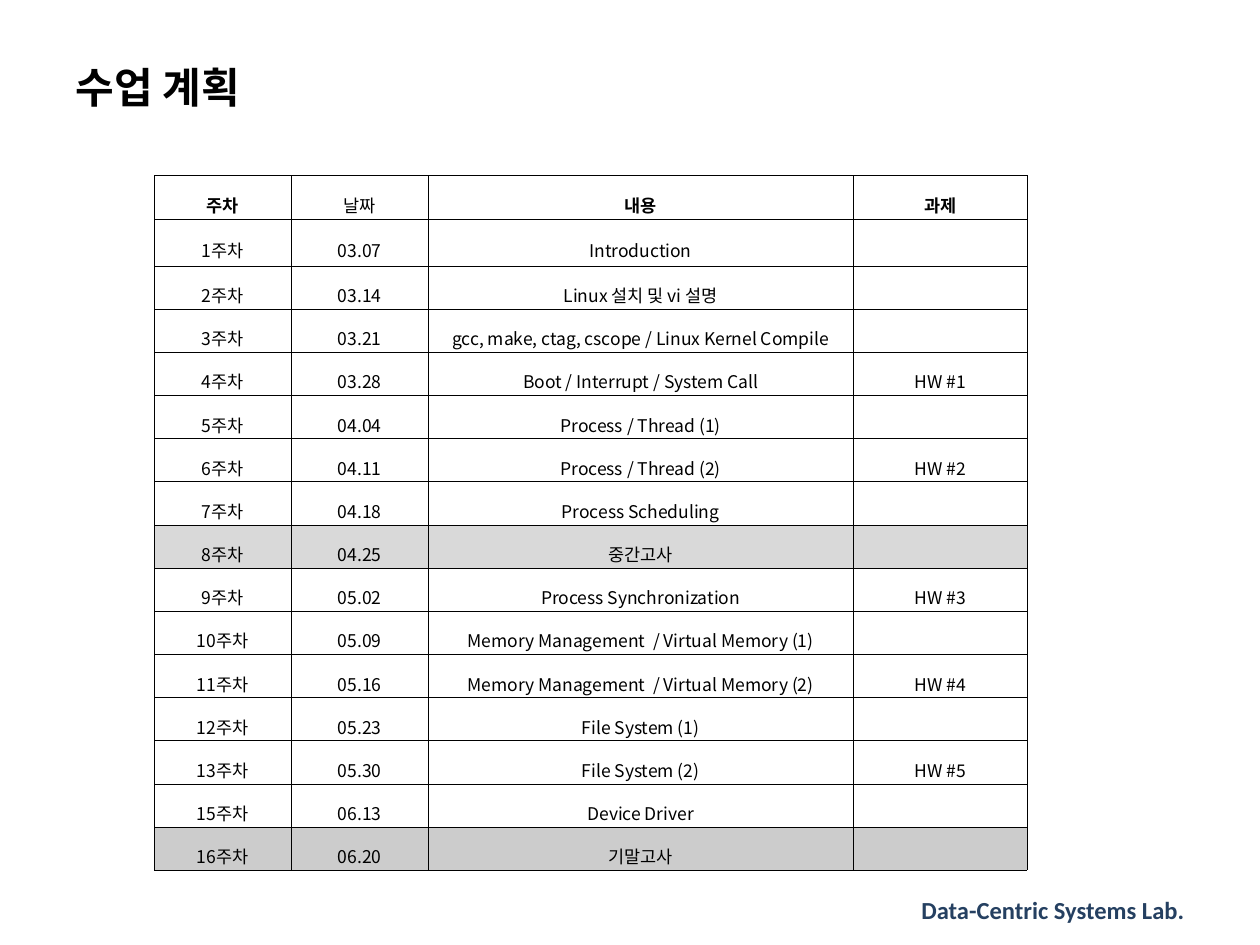
from lxml import etree
from pptx import Presentation
from pptx import util as u
from pptx.dml import color
from pptx.enum import text
from pptx.oxml import ns

WEEKS = [
    ("주차", "날짜", "내용", "과제"),
    ("1주차", "03.07", "Introduction", ""),
    ("2주차", "03.14", "Linux 설치 및 vi 설명", ""),
    ("3주차", "03.21", "gcc, make, ctag, cscope / Linux Kernel Compile", ""),
    ("4주차", "03.28", "Boot / Interrupt / System Call", "HW #1"),
    ("5주차", "04.04", "Process / Thread (1)", ""),
    ("6주차", "04.11", "Process / Thread (2)", "HW #2"),
    ("7주차", "04.18", "Process Scheduling", ""),
    ("8주차", "04.25", "중간고사", ""),
    ("9주차", "05.02", "Process Synchronization", "HW #3"),
    ("10주차", "05.09", "Memory Management  / Virtual Memory (1)", ""),
    ("11주차", "05.16", "Memory Management  / Virtual Memory (2)", "HW #4"),
    ("12주차", "05.23", "File System (1)", ""),
    ("13주차", "05.30", "File System (2)", "HW #5"),
    ("15주차", "06.13", "Device Driver", ""),
    ("16주차", "06.20", "기말고사", ""),
]
COLUMN_WIDTHS = [2.76, 2.76, 8.57, 3.51]
ROW_HEIGHT, FIRST_WEEK_HEIGHT = 0.87, 0.95
ROW_FILLS = {7: "FFFFFF", 8: "D9D9D9", 14: "FFFFFF", 15: "CCCCCC"}


def rgb(value):
    return color.RGBColor.from_string(value)


class Deck:
    latin_font = "Calibri"
    table_font = "Noto Sans CJK KR"
    ink = "000000"
    navy = "254061"

    def __init__(self):
        self.prs = Presentation()
        self.prs.slide_width, self.prs.slide_height = u.Cm(25.4), u.Cm(19.05)
        self.slide = self.prs.slides.add_slide(self.prs.slide_layouts[5])

    def style(self, paragraph, size, font, ink, bold, align):
        paragraph.alignment = align
        for run in paragraph.runs:
            run.font.size = u.Pt(size)
            run.font.name = font
            run.font.bold = bold
            run.font.color.rgb = rgb(ink)
            east_asian = etree.SubElement(run.font._element, ns.qn("a:ea"))
            east_asian.set("typeface", font)

    def title(self, wording, left, top, width, height):
        heading = self.slide.shapes.title
        heading.left, heading.top = u.Cm(left), u.Cm(top)
        heading.width, heading.height = u.Cm(width), u.Cm(height)
        frame = heading.text_frame
        frame.text = wording
        frame.vertical_anchor = text.MSO_ANCHOR.MIDDLE
        self.style(frame.paragraphs[0], 24, self.latin_font, self.ink, True,
                   text.PP_ALIGN.LEFT)

    def lab_name(self, wording, left, top, width, height):
        box = self.slide.shapes.add_textbox(
            u.Cm(left), u.Cm(top), u.Cm(width), u.Cm(height))
        frame = box.text_frame
        frame.word_wrap = True
        frame.text = wording
        frame.vertical_anchor = text.MSO_ANCHOR.BOTTOM
        self.style(frame.paragraphs[0], 14, self.latin_font, self.navy, True,
                   text.PP_ALIGN.RIGHT)

    def schedule(self, weeks, left, top):
        heights = [ROW_HEIGHT] * len(weeks)
        heights[1] = FIRST_WEEK_HEIGHT
        table = self.slide.shapes.add_table(
            len(weeks), len(COLUMN_WIDTHS), u.Cm(left), u.Cm(top),
            u.Cm(sum(COLUMN_WIDTHS)), u.Cm(sum(heights))).table
        table.first_row = table.horz_banding = False
        for column, width in zip(table.columns, COLUMN_WIDTHS):
            column.width = u.Cm(width)
        for row, height in zip(table.rows, heights):
            row.height = u.Cm(height)
        for r, week in enumerate(weeks):
            for c, wording in enumerate(week):
                bold = r == 0 and c != 1
                self.cell(table.cell(r, c), wording, bold, ROW_FILLS.get(r))

    def cell(self, cell, wording, bold, fill):
        cell.margin_left = cell.margin_right = u.Cm(0.1)
        cell.margin_top = cell.margin_bottom = u.Cm(0.03)
        cell.vertical_anchor = text.MSO_ANCHOR.MIDDLE
        cell.text_frame.text = wording
        paragraph = cell.text_frame.paragraphs[0]
        paragraph.line_spacing = 1.6
        self.style(paragraph, 10, self.table_font, self.ink, bold,
                   text.PP_ALIGN.CENTER)
        if not wording:
            # An empty cell takes its line height from the end mark.
            etree.SubElement(paragraph._p, ns.qn("a:endParaRPr"), sz="1000")
        self.borders(cell)
        if fill:
            cell.fill.solid()
            cell.fill.fore_color.rgb = rgb(fill)
        else:
            cell.fill.background()

    def borders(self, cell):
        properties = cell._tc.get_or_add_tcPr()
        for side in ("a:lnL", "a:lnR", "a:lnT", "a:lnB"):
            line = etree.SubElement(properties, ns.qn(side),
                                    w=str(u.Pt(0.28)))
            solid = etree.SubElement(line, ns.qn("a:solidFill"))
            etree.SubElement(solid, ns.qn("a:srgbClr"), val=self.ink)


def main():
    deck = Deck()
    deck.lab_name("Data-Centric Systems Lab.", 14.1, 17.83, 10.03, 0.94)
    deck.title("수업 계획", 1.27, 0.76, 22.86, 1.96)
    deck.schedule(WEEKS, 3.11, 3.54)
    deck.prs.save("out.pptx")


if __name__ == "__main__":
    main()
